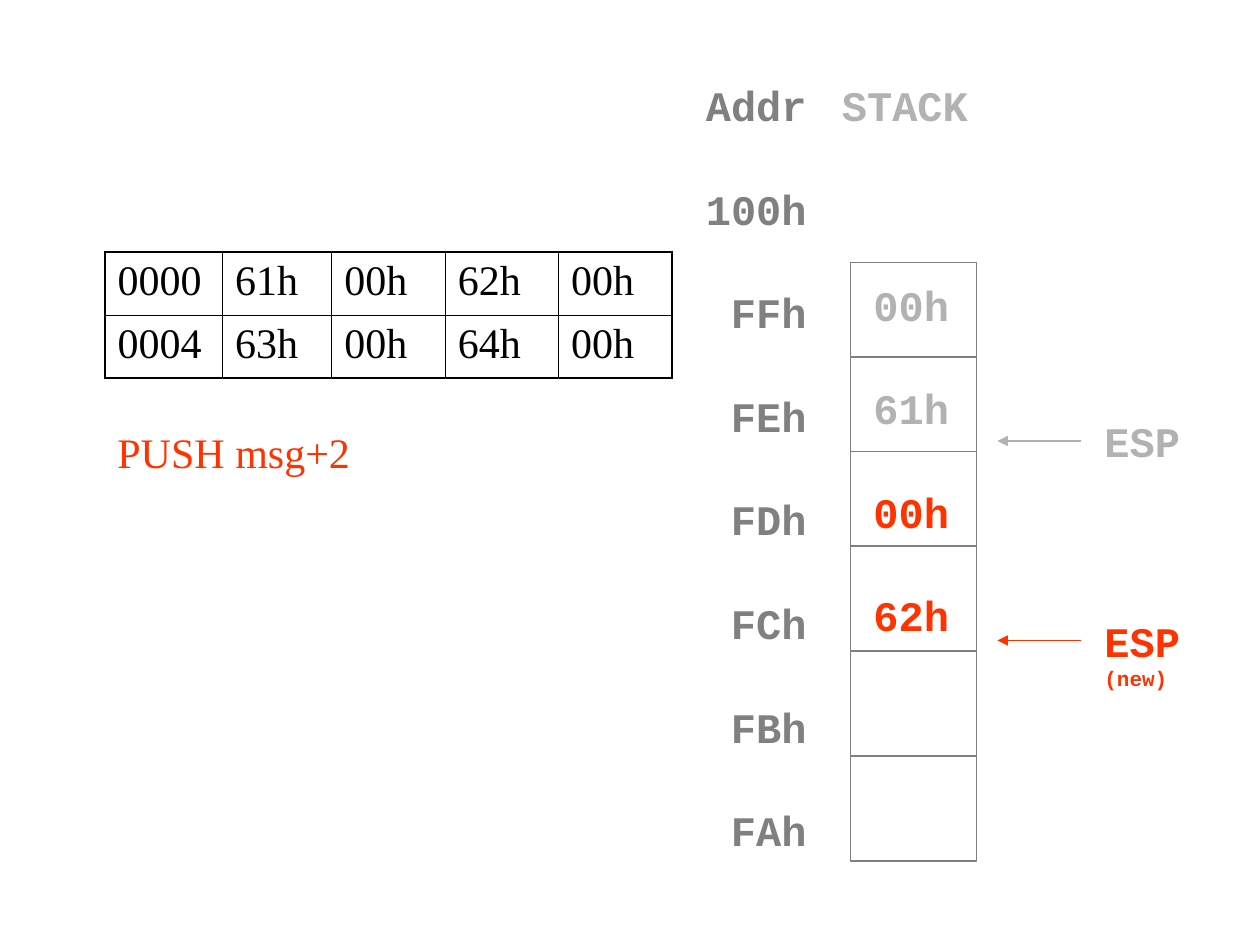
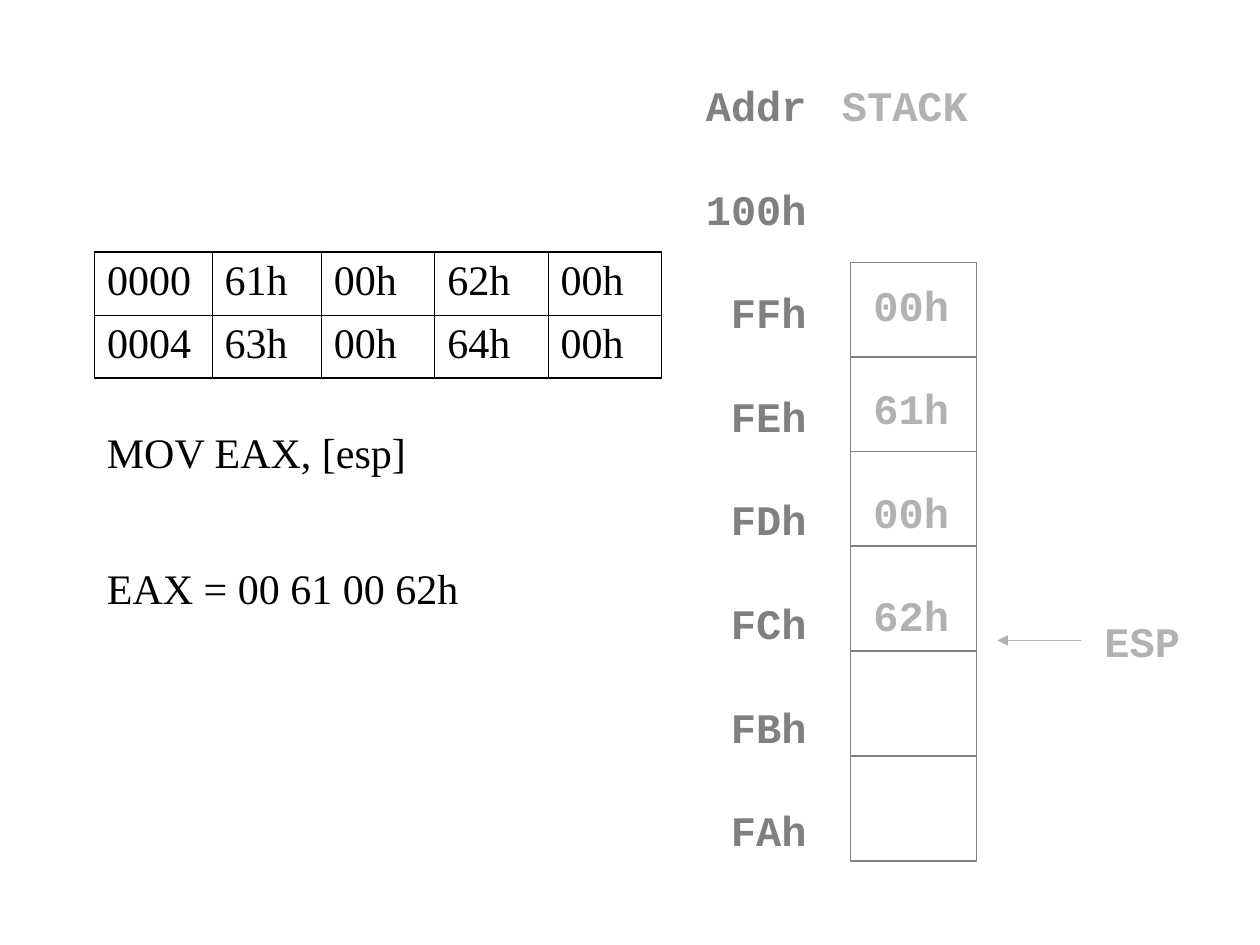
from itertools import accumulate

from pptx import Presentation
from pptx.dml.color import RGBColor
from pptx.enum.shapes import MSO_CONNECTOR as Connector, MSO_SHAPE as Shape
from pptx.enum.text import PP_ALIGN as Align
from pptx.oxml.ns import qn
from pptx.util import Inches, Pt
from lxml.etree import SubElement

# Shared style
SERIF, MONO = "Times New Roman", "Courier New"
BLACK, GREY, PALE, RED = "000000", "808080", "B2B2B2", "FF3300"
TEXT_SIZE, NOTE_SIZE = 24, 12
LINE_GAP = 30.4  # points between stacked labels
THIN, THICK = 0.45, 1.08  # table rules

# Shared content
MEMORY = [["0000", "61h", "00h", "62h", "00h"],
          ["0004", "63h", "00h", "64h", "00h"]]
MEMORY_COLUMNS = [11.2, 10.4, 10.8, 10.8, 10.8]
ADDRESSES = ["Addr", "100h", "FFh", "FEh", "FDh", "FCh", "FBh", "FAh"]
STACK_VALUES = ["00h", "61h", "00h", "62h"]
STACK_HEIGHTS = [9, 9, 9, 10, 10, 10]


def colour(code):
    return RGBColor.from_string(code)


def grid(*units):
    """Twelve grid columns or rows to the inch."""
    return [Inches(unit / 12) for unit in units]


class Board:
    def __init__(self, deck):
        self.deck = deck
        self.page = None

    def new_page(self):
        self.page = self.deck.slides.add_slide(self.deck.slide_layouts[6])

    def text(self, left, top, width, height, lines, font=MONO, gap=0,
             align=Align.LEFT, wrap=True):
        """Each line is (text, colour) or (text, colour, size)."""
        box = self.page.shapes.add_textbox(*grid(left, top, width, height))
        frame = box.text_frame
        frame.word_wrap = wrap
        if align == Align.RIGHT:
            frame.margin_left = 0
        for index, (words, code, *size) in enumerate(lines):
            para = frame.add_paragraph() if index else frame.paragraphs[0]
            para.text = words
            para.alignment = align
            para.space_before = Pt(gap if index else 0)
            para.font.name = font
            para.font.size = Pt(size[0] if size else TEXT_SIZE)
            para.font.bold = font == MONO
            para.font.color.rgb = colour(code)

    def cell_box(self, left, top, width, height):
        box = self.page.shapes.add_shape(
            Shape.RECTANGLE, *grid(left, top, width, height))
        box.shadow.inherit = False
        box.fill.background()
        box.line.color.rgb = colour(GREY)
        box.line.width = Pt(1)

    def arrow(self, start, end, row, code):
        line = self.page.shapes.add_connector(
            Connector.STRAIGHT, *grid(start, row, end, row))
        line.line.color.rgb = colour(code)
        line.line.width = Pt(1)
        SubElement(line.line._get_or_add_ln(), qn("a:tailEnd"),
                   type="triangle")
        SubElement(line._element.spPr, qn("a:effectLst"))

    def border(self, cell, side, points):
        edge = SubElement(cell._tc.get_or_add_tcPr(), qn("a:" + side),
                          w=str(Pt(points)))
        fill = SubElement(edge, qn("a:solidFill"))
        SubElement(fill, qn("a:srgbClr"), val=BLACK)

    def table(self, left, top, widths, row_height, rows):
        last_row, last_column = len(rows) - 1, len(widths) - 1
        table = self.page.shapes.add_table(
            len(rows), len(widths),
            *grid(left, top, sum(widths), row_height * len(rows))).table
        table.first_row = table.horz_banding = False
        for column, width in zip(table.columns, grid(*widths)):
            column.width = width
        for r, values in enumerate(rows):
            for c, value in enumerate(values):
                cell = table.cell(r, c)
                cell.text = value
                para = cell.text_frame.paragraphs[0]
                para.font.name = SERIF
                para.font.size = Pt(TEXT_SIZE)
                para.font.color.rgb = colour(BLACK)
                outer = {"lnL": c == 0, "lnR": c == last_column,
                         "lnT": r == 0, "lnB": r == last_row}
                for side, is_outer in outer.items():
                    self.border(cell, side, THICK if is_outer else THIN)
                cell.fill.background()

    # Parts of the stack diagram
    def stack(self, value_colours):
        self.text(66, 7, 12, 73, [(name, GREY) for name in ADDRESSES],
                  gap=LINE_GAP, align=Align.RIGHT)
        self.text(82, 26, 11, 54, list(zip(STACK_VALUES, value_colours)),
                  gap=LINE_GAP)
        tops = accumulate(STACK_HEIGHTS, initial=25)
        for top, height in zip(tops, STACK_HEIGHTS):
            self.cell_box(81, top, 12, height)
        self.text(79, 7, 14.4, 6, [("STACK", PALE)], wrap=False)

    def pointer(self, row, code, note=None):
        self.arrow(103, 95, row, code)
        lines = [("ESP", code)]
        if note:
            lines.append((note, code, NOTE_SIZE))
        self.text(104, row - 3, 10, 8.4 if note else 6, lines)

    def memory(self, left):
        self.table(left, 24, MEMORY_COLUMNS, 6, MEMORY)

    def statement(self, left, top, words, code=BLACK):
        self.text(left, top, 44, 6, [(words, code)], font=SERIF)


def main():
    deck = Presentation()
    deck.slide_width, deck.slide_height = grid(120, 90)
    board = Board(deck)

    # Pushing the second word
    board.new_page()
    board.memory(10)
    board.stack([PALE, PALE, RED, RED])
    board.pointer(42, PALE)
    board.statement(10, 40, "PUSH msg+2", RED)
    board.pointer(61, RED, "(new)")

    # Reading the top of the stack
    board.new_page()
    board.memory(9)
    board.stack([PALE] * 4)
    board.pointer(61, PALE)
    board.statement(9, 40, "MOV EAX, [esp]")
    board.statement(9, 53, "EAX = 00 61 00 62h")

    deck.save("out.pptx")


if __name__ == "__main__":
    main()
